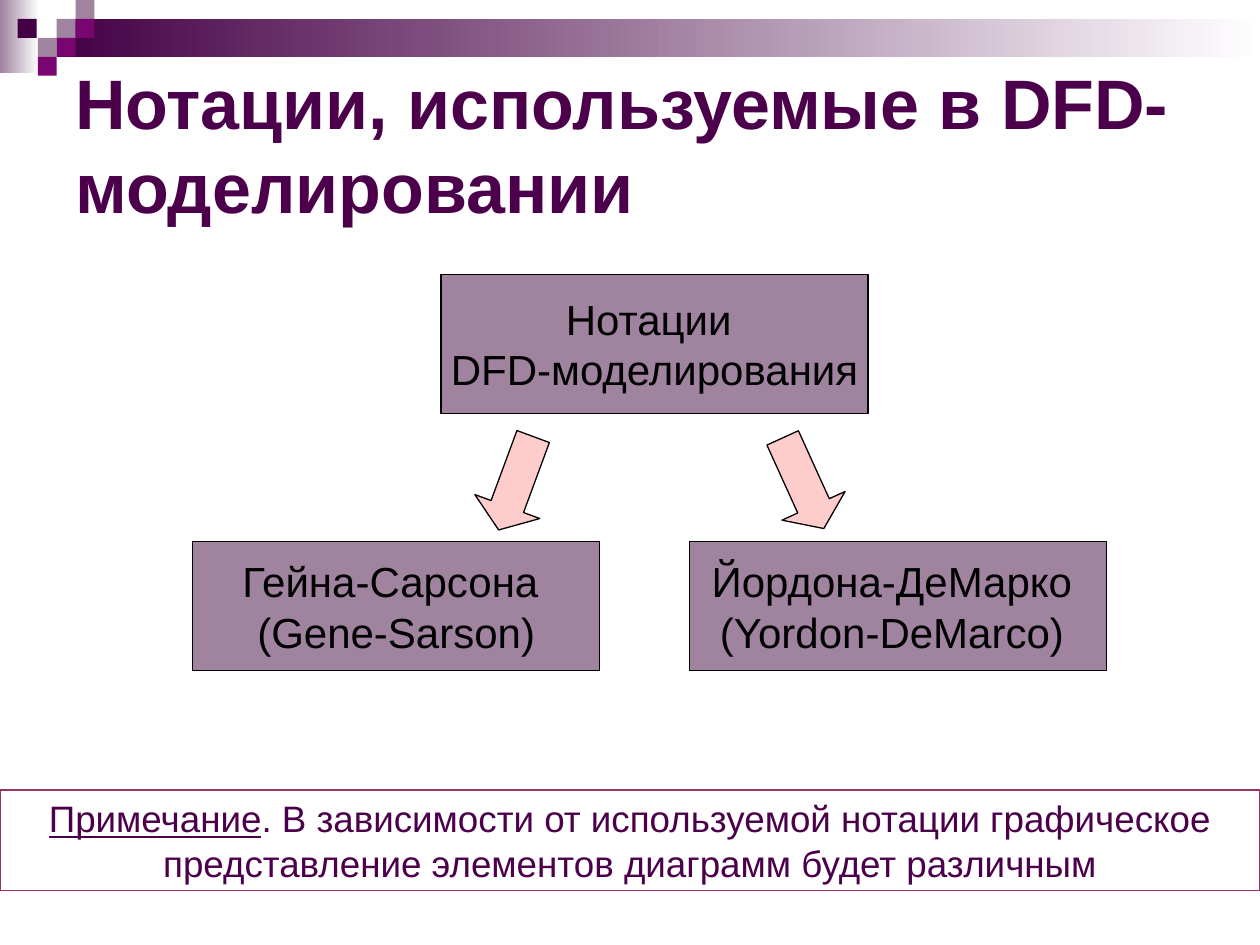
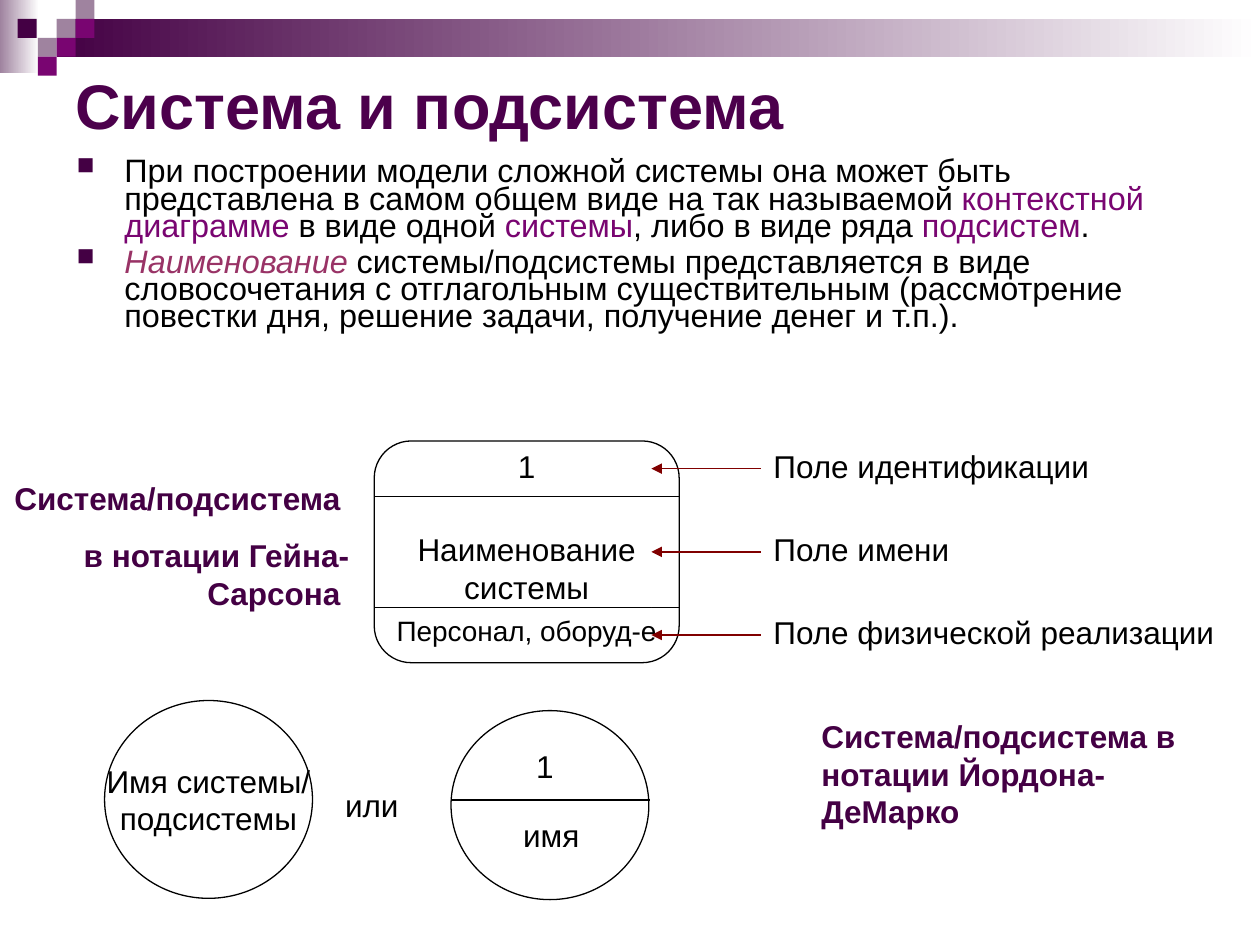
from pptx import Presentation
from pptx.dml.color import RGBColor as RGB
from pptx.enum.shapes import MSO_CONNECTOR as CONN, MSO_SHAPE as SHAPE
from pptx.enum.text import MSO_ANCHOR as ANCHOR, PP_ALIGN as ALIGN
from pptx.oxml import parse_xml
from pptx.oxml.ns import nsdecls
from pptx.util import Inches, Pt

THEME = {
    "font": "Arial",
    "black": "000000", "white": "FFFFFF", "title": "4C004C", "dark": "440044",
    "mauve": "9F839F", "purple": "790571", "wine": "993366", "pink": "FFCCCC",
    "arrow": "800000",
    "title_big": 40, "title_small": 36, "box": 24, "note": 21, "body": 18.5,
    "text": 18, "small": 16, "line": 0.75, "before": 11.2,
}

TILE = 0.15
GRADIENTS = [((0, 0, 0.31, 0.58), "mauve"), ((0.45, 0.15, 9.55, 0.3), "dark")]
TILES = [(0.45, 0.15, "mauve"), (0.6, 0, "mauve"), (0.6, 0.15, "purple"),
         (0.3, 0.3, "mauve"), (0.14, 0.15, "dark"), (0.45, 0.3, "purple"),
         (0.3, 0.45, "purple")]

NOTATIONS = [
    ((3.5, 2.18, 3.39, 1.1), ["Нотации ", "DFD-моделирования"]),
    ((1.53, 4.3, 3.23, 1.02), ["Гейна-Сарсона ", "(Gene-Sarson)"]),
    ((5.47, 4.3, 3.31, 1.02), ["Йордона-ДеМарко ", "(Yordon-DeMarco) "]),
]
BRANCHES = [(6.1, 335.6), (3.82, 20.3)]
NOTE = [[("Примечание", {"underline": True}),
         (". В зависимости от используемой нотации графическое "
          "представление элементов диаграмм будет различным", {})]]

ACCENT = {"color": "purple"}
BODY = [
    [("При построении модели сложной системы она может быть представлена "
      "в самом общем виде на так называемой ", {}),
     ("контекстной диаграмме", ACCENT), (" в виде одной ", {}),
     ("системы", ACCENT), (", либо в виде ряда ", {}),
     ("подсистем", ACCENT), (".", {})],
    [("Наименование", {"color": "wine", "italic": True}),
     (" системы/подсистемы представляется в виде словосочетания "
      "с отглагольным существительным (рассмотрение повестки дня, "
      "решение задачи, получение денег и т.п.).", {})],
]
FIELDS = ["Поле идентификации", "Поле имени", "Поле физической реализации"]
CARD = (2.97, 3.5, 2.42, 1.76)
ROW = CARD[3] / 4
GANE_LABEL = ["Система/подсистема ", "в нотации Гейна-Сарсона "]
YOURDON_LABEL = ["Система/подсистема в нотации Йордона-ДеМарко"]
CIRCLE_TEXTS = [((4.13, 5.88, 0.39, 0.4), "1", ALIGN.CENTER),
                ((3.98, 6.43, 0.79, 0.4), "имя", ALIGN.CENTER),
                ((2.64, 6.19, 0.79, 0.4), "или", ALIGN.LEFT)]


def color(name):
    return RGB.from_string(THEME[name])


def set_all(obj, values):
    for name, value in values.items():
        setattr(obj, name, value)


def write(sp, paras, size="text", ink="black", anchor=ANCHOR.TOP, wrap=True,
          para=None, **font):
    tf = sp.text_frame
    set_all(tf, {"word_wrap": wrap, "vertical_anchor": anchor})
    for i, runs in enumerate(paras):
        p = tf.paragraphs[0] if i == 0 else tf.add_paragraph()
        set_all(p, {"alignment": ALIGN.LEFT, **(para or {})})
        for text, extra in [(runs, {})] if isinstance(runs, str) else runs:
            r = p.add_run()
            r.text = text
            look = {"name": THEME["font"], "size": Pt(THEME[size]), **font, **extra}
            r.font.color.rgb = color(look.pop("color", ink))
            set_all(r.font, look)
    return sp


def add_text(s, box, paras, **style):
    return write(s.shapes.add_textbox(*map(Inches, box)), paras, **style)


def add_shape(s, kind, box, fill=None, line=None):
    sp = s.shapes.add_shape(kind, *map(Inches, box))
    sp.shadow.inherit = False
    if fill:
        sp.fill.solid()
        sp.fill.fore_color.rgb = color(fill)
    else:
        sp.fill.background()
    if line:
        sp.line.color.rgb = color(line)
        sp.line.width = Pt(THEME["line"])
    else:
        sp.line.fill.background()
    return sp


def add_line(s, start, end, ink="black"):
    cx = s.shapes.add_connector(CONN.STRAIGHT, *map(Inches, start + end))
    cx.line.color.rgb = color(ink)
    cx.line.width = Pt(THEME["line"])
    cx._element.spPr.append(parse_xml(f"<a:effectLst {nsdecls('a')}/>"))
    return cx


def add_bullet(p):
    pPr = p._p.get_or_add_pPr()
    set_indent = {"marL": Inches(0.38), "indent": -Inches(0.38)}
    for name, value in set_indent.items():
        pPr.set(name, str(value))
    for tag in (f'<a:buClr {{}}><a:srgbClr val="{THEME["dark"]}"/></a:buClr>',
                '<a:buSzPct {} val="75000"/>', '<a:buChar {} char="■"/>'):
        pPr.append(parse_xml(tag.format(nsdecls("a"))))


def new_slide(prs, title, height, size):
    s = prs.slides.add_slide(prs.slide_layouts[6])
    for box, ink in GRADIENTS:
        sp = add_shape(s, SHAPE.RECTANGLE, box)
        sp.fill.gradient()
        sp.fill.gradient_angle = 0
        for stop, name in zip(sp.fill.gradient_stops, (ink, "white")):
            stop.color.rgb = color(name)
    for x, y, ink in TILES:
        add_shape(s, SHAPE.RECTANGLE, (x, y, TILE, TILE), ink)
    add_text(s, (0.5, 0.5, 9, height), [title], size=size, ink="title",
             anchor=ANCHOR.MIDDLE, bold=True)
    return s


def notations_slide(prs):
    s = new_slide(prs, "Нотации, используемые в DFD-моделировании", 1.28, "title_big")
    for box, paras in NOTATIONS:
        write(add_shape(s, SHAPE.RECTANGLE, box, "mauve", "black"), paras, size="box",
              anchor=ANCHOR.MIDDLE, wrap=False, para={"alignment": ALIGN.CENTER})
    for x, angle in BRANCHES:
        sp = add_shape(s, SHAPE.DOWN_ARROW, (x, 3.44, 0.55, 0.79), "pink", "black")
        sp.rotation = angle
        sp.adjustments[1] = 0.36
    write(add_shape(s, SHAPE.RECTANGLE, (0, 6.27, 10, 0.8), line="wine"), NOTE,
          size="note", ink="title",
          para={"alignment": ALIGN.CENTER, "space_before": Pt(13.1)})


def draw_card(s):
    x, y, w, h = CARD
    centered = {"alignment": ALIGN.CENTER}
    add_shape(s, SHAPE.FLOWCHART_ALTERNATE_PROCESS, CARD, "white", "black")
    for row in (1, 3):
        add_line(s, (x, y + row * ROW), (x + w, y + row * ROW))
    name = add_shape(s, SHAPE.RECTANGLE, (3.19, y + 1.5 * ROW, 1.98, 1.5 * ROW), "white")
    write(name, ["Наименование системы"], para=centered)
    add_line(s, (3.19, y + 3 * ROW), (5.17, y + 3 * ROW))
    add_text(s, (3.85, y, 0.66, ROW), ["1"], para=centered)
    add_text(s, (x, y + 3 * ROW, w, ROW), ["Персонал, оборуд-е"], size="small",
             para=centered)
    for i, field in enumerate(FIELDS):
        top = y + i * 1.5 * ROW
        label = add_text(s, (6.04, top, 3.96, ROW), [field])
        middle = top + ROW / 2
        cx = add_line(s, (5.17, middle), (6.04, middle), "arrow")
        cx.end_connect(label, 1)
        cx.line._get_or_add_ln().append(
            parse_xml(f'<a:headEnd {nsdecls("a")} type="triangle"/>'))


def system_slide(prs):
    s = new_slide(prs, "Система и подсистема", 0.65, "title_small")
    body = add_text(s, (0.51, 1.23, 9, 1.81), BODY, size="body",
                    para={"line_spacing": 0.7, "space_before": Pt(5)})
    for p in body.text_frame.paragraphs:
        add_bullet(p)
    draw_card(s)
    before = {"space_before": Pt(THEME["before"])}
    add_text(s, (0, 3.75, 2.87, 1.16), GANE_LABEL, ink="dark", bold=True,
             para={"alignment": ALIGN.RIGHT, **before})
    write(add_shape(s, SHAPE.OVAL, (0.83, 5.56, 1.65, 1.57), line="black"),
          ["Имя системы/", "подсистемы"], anchor=ANCHOR.MIDDLE, wrap=False,
          para={"alignment": ALIGN.CENTER})
    add_shape(s, SHAPE.OVAL, (3.58, 5.64, 1.57, 1.5), line="black")
    add_line(s, (3.58, 6.35), (5.16, 6.35))
    for box, text, align in CIRCLE_TEXTS:
        add_text(s, box, [text], para={"alignment": align, **before})
    add_text(s, (6.42, 5.64, 3.15, 1), YOURDON_LABEL, ink="dark", bold=True, para=before)


def main():
    prs = Presentation()
    set_all(prs, {"slide_width": Inches(10), "slide_height": Inches(7.5)})
    notations_slide(prs)
    system_slide(prs)
    prs.save("out.pptx")


if __name__ == "__main__":
    main()
